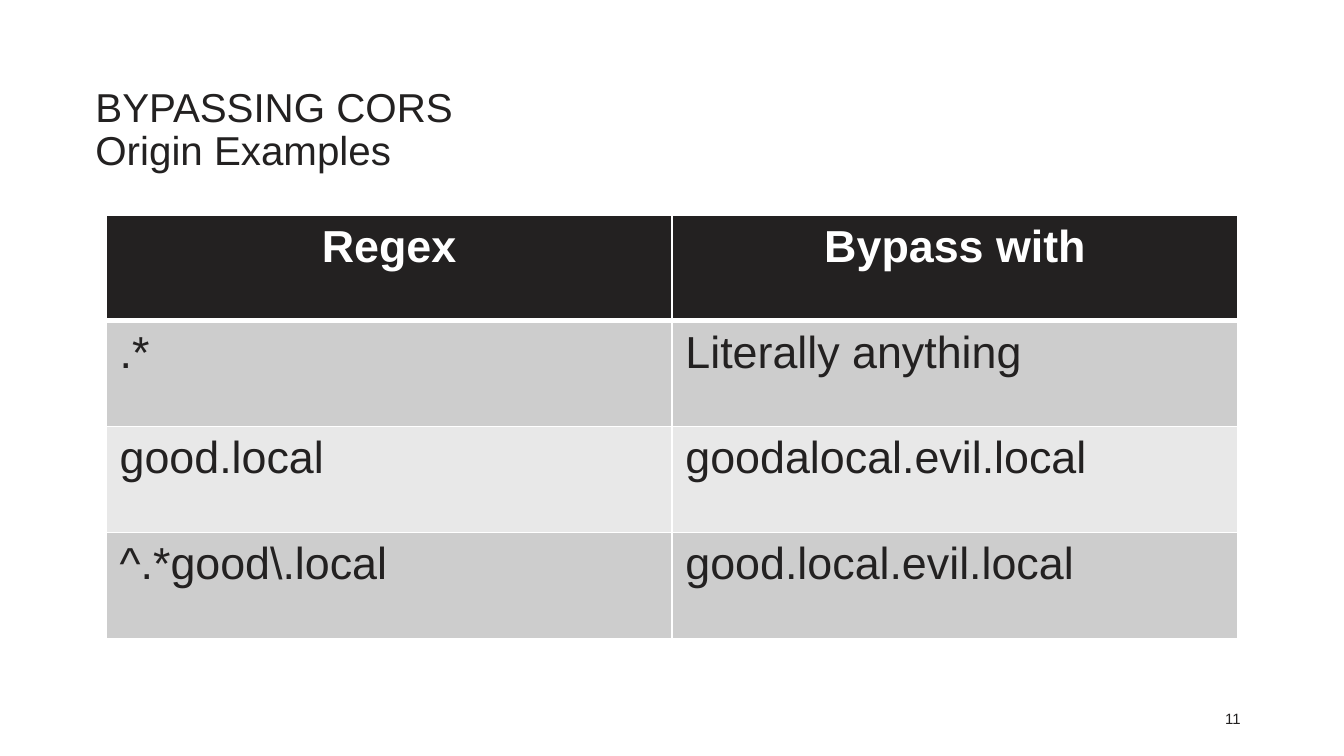
"""Build the slide on bypassing CORS origin checks."""
from lxml.etree import SubElement
from pptx import Presentation
from pptx.dml.color import RGBColor
from pptx.enum.text import MSO_ANCHOR, PP_ALIGN
from pptx.oxml.ns import qn
from pptx.util import Inches, Pt

TITLE = "BYPASSING CORS\vOrigin Examples"
PAGE = "11"
ROWS = [
    ("Regex", "Bypass with"),
    (".*", "Literally anything"),
    ("good.local", "goodalocal.evil.local"),
    (r"^.*good\.local", "good.local.evil.local"),
]
COLORS = {"ink": "232121", "white": "FFFFFF", "odd": "CDCDCD", "even": "E8E8E8"}
FONT = "Arial"
WIDTH = 10
HEIGHT = WIDTH * 9 / 16
TABLE_BOX = (0.79, 1.6, 8.42, 3.15)


def write(tf, text, size, color="ink", bold=False, align=PP_ALIGN.LEFT, spacing=None):
    tf.word_wrap = True
    p = tf.paragraphs[0]
    p.text = text
    p.alignment = align
    p.line_spacing = spacing
    for r in p.runs:
        r.font.name, r.font.size, r.font.bold = FONT, Pt(size), bold
        r.font.color.rgb = RGBColor.from_string(COLORS[color])


def add_borders(cell, **widths):
    tc_pr = cell._tc.get_or_add_tcPr()
    for side, width in widths.items():
        ln = SubElement(tc_pr, qn(f"a:ln{side}"), w=str(Pt(width)))
        SubElement(SubElement(ln, qn("a:solidFill")), qn("a:srgbClr"), val=COLORS["white"])


def add_title(s):
    title = s.shapes.title
    title.left, title.top, title.width, title.height = map(Inches, (0.71, 0.65, 8.62, 0.82))
    tf = title.text_frame
    tf.margin_left = tf.margin_top = tf.margin_right = tf.margin_bottom = 0
    tf.vertical_anchor = MSO_ANCHOR.TOP
    write(tf, TITLE, 21.6, spacing=0.9)


def add_page_number(s):
    tf = s.shapes.add_textbox(*map(Inches, (8.97, 5.23, 0.36, 0.2))).text_frame
    tf.vertical_anchor = MSO_ANCHOR.TOP
    write(tf, PAGE, 8, align=PP_ALIGN.RIGHT)


def add_regex_table(s):
    box = map(Inches, TABLE_BOX)
    table = s.shapes.add_table(len(ROWS), len(ROWS[0]), *box).table
    for i, row in enumerate(ROWS):
        header = i == 0
        fill = "ink" if header else "odd" if i % 2 else "even"
        for j, text in enumerate(row):
            cell = table.cell(i, j)
            add_borders(cell, L=1, R=1, T=3 if i == 1 else 1, B=3 if header else 1)
            cell.fill.solid()
            cell.fill.fore_color.rgb = RGBColor.from_string(COLORS[fill])
            write(cell.text_frame, text, 24, color="white" if header else "ink", bold=header,
                  align=PP_ALIGN.CENTER if header else PP_ALIGN.LEFT)


def main():
    prs = Presentation()
    prs.slide_width, prs.slide_height = Inches(WIDTH), Inches(HEIGHT)
    s = prs.slides.add_slide(prs.slide_layouts[5])
    add_title(s)
    add_page_number(s)
    add_regex_table(s)
    prs.save("out.pptx")


if __name__ == "__main__":
    main()
